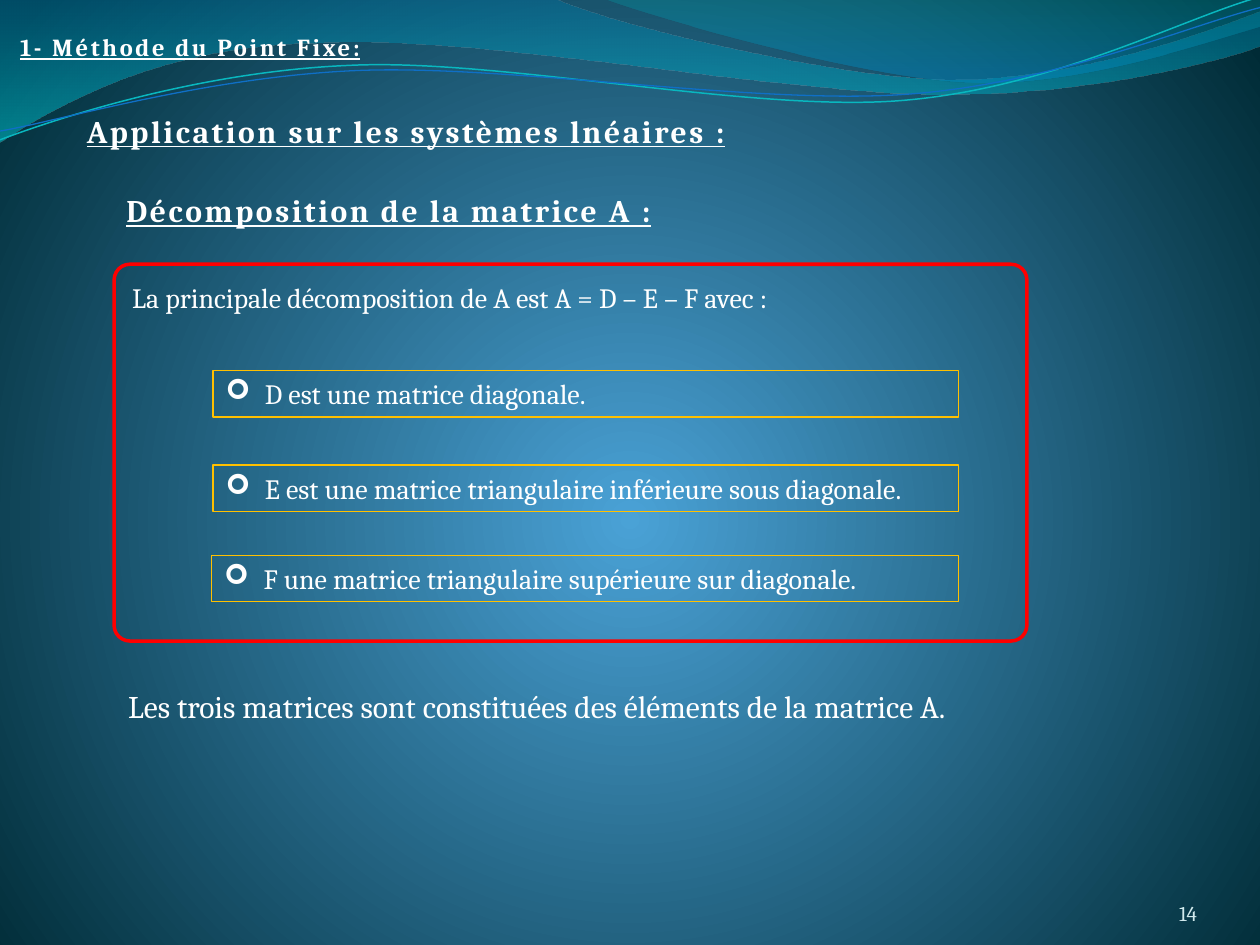
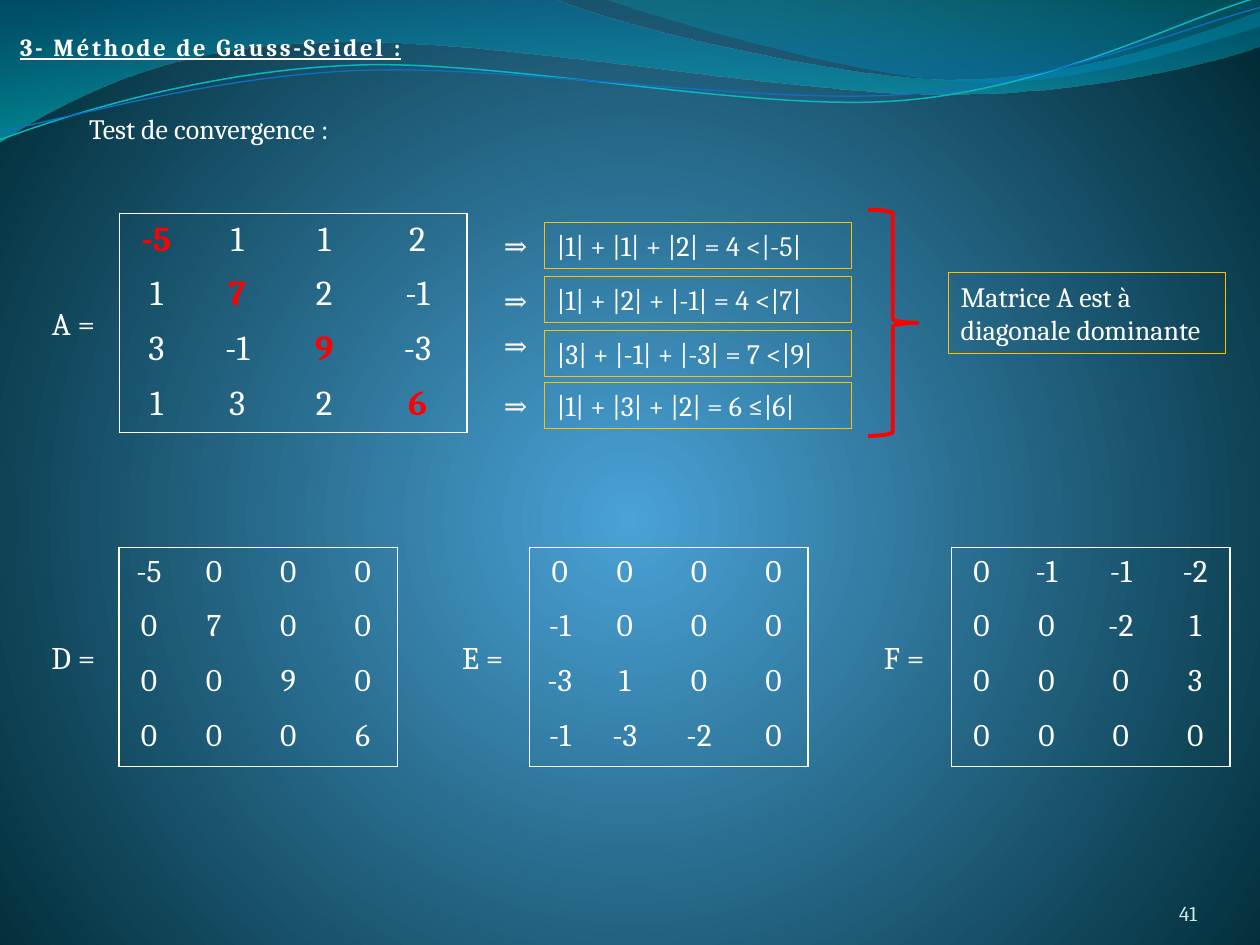
from pptx import Presentation
from pptx.dml.color import RGBColor
from pptx.enum.shapes import MSO_SHAPE as Shape
from pptx.enum.text import MSO_ANCHOR as Anchor, MSO_AUTO_SIZE as AutoSize, PP_ALIGN as Align
from pptx.oxml import parse_xml
from pptx.oxml.ns import nsdecls
from pptx.util import Pt

WHITE = RGBColor(0xFF, 0xFF, 0xFF)
RED = RGBColor(0xFF, 0x00, 0x00)
AMBER = RGBColor(0xFF, 0xC0, 0x00)
PALE = RGBColor(0xD1, 0xEA, 0xED)
TEAL = RGBColor(0x09, 0xB7, 0xBF)
BLUE = RGBColor(0x0F, 0x6F, 0xC6)
SKY, NIGHT = RGBColor(0x4A, 0xA2, 0xD6), RGBColor(0x00, 0x2B, 0x36)
DEEP, CYAN = RGBColor(0x00, 0x74, 0xA0), RGBColor(0x00, 0xC4, 0xCD)
AZURE, LAGOON = RGBColor(0x00, 0x8A, 0xBF), RGBColor(0x00, 0xA0, 0xA8)
FONT = "Cambria"
NO_GRID_STYLE = "{2D5ABB26-0587-4C30-8999-92F81FD0307C}"

GLOW = ([(0, SKY, 100), (100, NIGHT, 100)],
        '<a:path path="circle"><a:fillToRect l="50000" t="55000" r="50000" b="45000"/></a:path>')
BANDS = [
    ([(0, 0), (317, -0.7), (342.7, 12.2, 478.1, 45.4, 545.8, 45.4),
      (614.2, 45.4, 689.8, 18.7, 720, 6.5), (720.7, 25.9),
      (707.8, 31.7, 626.4, 54.7, 537.1, 54), (447.8, 54, 275, 20.2, 185, 24.5),
      (92.9, 25.2, 33.1, 59.8, -0.7, 81.4), (0, 0)],
     [(0, DEEP, 45), (100, CYAN, 55)], '<a:lin ang="5400000" scaled="0"/>'),
    ([(344.9, -0.7), (366.5, 7.9, 491, 44.6, 553.7, 46.8),
      (616.3, 49.7, 691.9, 23, 720, 15.1), (720, 0), (344.9, -0.7)],
     [(20, AZURE, 45), (100, LAGOON, 30)], '<a:lin ang="16200000" scaled="0"/>'),
]
STRANDS = [
    ([(0, 79.9), (34.6, 67, 113.8, 41, 199.4, 37.4), (284.4, 33.1, 427, 64.1, 513.4, 57.6),
      (599.8, 51.1, 675.4, 10.8, 718.6, -1.4)], TEAL, 0.85),
    ([(0, 74.9), (33.8, 69.1, 118.1, 43.9, 203.8, 40.3), (290.2, 36.7, 429.8, 59.8, 516.2, 54),
      (601.9, 48.2, 677.5, 15.1, 720, 4.3)], BLUE, 0.75),
]

DECOMPOSITION = {
    "title": "1- Méthode du Point Fixe:",
    "page": "14",
    "headings": [("Décomposition de la matrice A :", 65.2, 105.8, 351.4),
                 ("Application sur les systèmes lnéaires :", 42.5, 60.5, 425.5)],
    "intro": "La principale décomposition de A est A = D – E – F avec :",
    "factors": [("D est une matrice diagonale.", 121.8, 211.7),
                ("E est une matrice triangulaire inférieure sous diagonale.", 121.8, 265.8),
                ("F une matrice triangulaire supérieure sur diagonale.", 121, 317.3)],
    "conclusion": "Les trois matrices sont constituées des éléments de la matrice A.",
}
A = [[-5, 1, 1, 2], [1, 7, 2, -1], [3, -1, 9, -3], [1, 3, 2, 6]]
CONVERGENCE = {
    "title": "3- Méthode de Gauss-Seidel :",
    "page": "41",
    "test": "Test de convergence :",
    "conditions": [("|1| + |1| + |2| = 4 <|-5|", 127, 127),
                   ("|1| + |2| + |-1| = 4 <|7|", 157.9, 158.4),
                   ("|3| + |-1| + |-3| = 7 <|9|", 188.8, 184.3),
                   ("|1| + |3| + |2| = 6 ≤|6|", 218.5, 218.5)],
    "verdict": "Matrice A est à diagonale dominante",
    "parts": [("D", 67.9, lambda row, col: (row == col) * A[row][col]),
              ("E", 302.6, lambda row, col: -(row > col) * A[row][col]),
              ("F", 543.6, lambda row, col: -(row < col) * A[row][col])],
}
LINE_HEIGHT = {12: 28.8, 14: 24, 16: 26.6, 18: 28.8}
A_COLUMNS = [42.5, 49.7, 49.7, 56.9]
PART_COLUMNS = [34.6, 39.6, 45.4, 39.6]
ROW_HEIGHT = 31.32


def set_gradient(fill, owner, stops, direction):
    """Give a fill colour stops with opacity and a direction."""
    fill.gradient()
    old = owner.xpath(".//a:gradFill")[0]
    marks = "".join(
        f'<a:gs pos="{pos * 1000}"><a:srgbClr val="{color}"><a:alpha val="{opacity * 1000}"/></a:srgbClr></a:gs>'
        for pos, color, opacity in stops)
    old.getparent().replace(old, parse_xml(
        f'<a:gradFill {nsdecls("a")} rotWithShape="1"><a:gsLst>{marks}</a:gsLst>{direction}</a:gradFill>'))


def add_wave(slide, segments, close):
    """Draw one outline of straight and cubic segments."""
    pairs = [[(Pt(x), Pt(y)) for x, y in zip(segment[::2], segment[1::2])] for segment in segments]
    points = [point for group in pairs for point in group]
    builder = slide.shapes.build_freeform(*points[0])
    builder.add_line_segments(points[1:], close=close)
    wave = builder.convert_to_shape()
    wave.shadow.inherit = False
    outline = wave._element.xpath(".//a:path")[0]
    for step in outline.xpath("a:lnTo | a:close"):
        outline.remove(step)
    for group in pairs[1:]:
        tag = "lnTo" if len(group) == 1 else "cubicBezTo"
        marks = "".join(f'<a:pt x="{x - wave.left}" y="{y - wave.top}"/>' for x, y in group)
        outline.append(parse_xml(f'<a:{tag} {nsdecls("a")}>{marks}</a:{tag}>'))
    if close:
        outline.append(parse_xml(f'<a:close {nsdecls("a")}/>'))
    return wave


def decorate_master(master, slide):
    """Set the background and move the waves to the master."""
    set_gradient(master.background.fill, master.element, *GLOW)
    waves = []
    for segments, stops, direction in BANDS:
        band = add_wave(slide, segments, True)
        band.line.fill.background()
        set_gradient(band.fill, band._element, stops, direction)
        waves.append(band)
    for segments, color, weight in STRANDS:
        strand = add_wave(slide, segments, False)
        strand.fill.background()
        strand.line.color.rgb = color
        strand.line.width = Pt(weight)
        waves.append(strand)
    for index, wave in enumerate(waves):
        master.shapes._spTree.insert(2 + index, wave._element)


def write(frame, text, size, color=WHITE, heading=False, bullet=False, align=Align.LEFT, bold=False):
    """Put one formatted paragraph in a text frame."""
    frame.text = text
    paragraph = frame.paragraphs[0]
    paragraph.alignment = align
    properties = paragraph._p.get_or_add_pPr()
    if bullet:
        properties.set("marL", str(Pt(22.5)))
        properties.set("indent", str(-Pt(22.5)))
        properties.append(parse_xml(f'<a:buFont {nsdecls("a")} typeface="Wingdings"/>'))
        properties.append(parse_xml(f'<a:buChar {nsdecls("a")} char="➢"/>'))
    font = paragraph.font
    font.name, font.size, font.color.rgb = FONT, Pt(size), color
    font.bold = heading or bold
    if heading:
        font.underline = True
        properties.xpath("a:defRPr")[0].set("spc", "150")


def add_text(slide, text, left, top, width, size=16, **style):
    """Add a one-line text box."""
    box = slide.shapes.add_textbox(Pt(left), Pt(top), Pt(width), Pt(LINE_HEIGHT[size]))
    box.text_frame.word_wrap = True
    write(box.text_frame, text, size, **style)
    return box.text_frame


def add_outline(slide, kind, left, top, width, height, color, weight):
    """Add an unfilled preset shape."""
    outline = slide.shapes.add_shape(kind, Pt(left), Pt(top), Pt(width), Pt(height))
    outline.shadow.inherit = False
    outline.fill.background()
    outline.line.color.rgb = color
    outline.line.width = Pt(weight)
    return outline


def add_boxed(slide, text, left, top, width, height=LINE_HEIGHT[16], **style):
    """Add text in a thin amber frame."""
    frame = add_outline(slide, Shape.RECTANGLE, left, top, width, height, AMBER, 0).text_frame
    frame.word_wrap = True
    frame.vertical_anchor = Anchor.TOP
    write(frame, text, 16, **style)


def add_matrix(slide, name, values, left, top, columns, size, highlight=False):
    """Add a labelled matrix with an outer border."""
    add_text(slide, f"{name} =", left - 45.6, top + 48.2, 45.4, 18)
    last = len(values) - 1
    table = slide.shapes.add_table(len(values), len(columns), Pt(left), Pt(top), Pt(sum(columns)),
                                   Pt(ROW_HEIGHT * len(values))).table
    table.first_row = table.horz_banding = False
    table._tbl.xpath("a:tblPr/a:tableStyleId")[0].text = NO_GRID_STYLE
    for column, width in zip(table.columns, columns):
        column.width = Pt(width)
    for row, line in enumerate(values):
        table.rows[row].height = Pt(ROW_HEIGHT)
        for col, value in enumerate(line):
            cell = table.cell(row, col)
            marked = highlight and row == col
            write(cell.text_frame, str(value), size, RED if marked else WHITE, align=Align.CENTER, bold=marked)
            borders = cell._tc.get_or_add_tcPr()
            for side, outer in (("L", col == 0), ("R", col == last), ("T", row == 0), ("B", row == last)):
                if outer:
                    borders.append(parse_xml(
                        f'<a:ln{side} {nsdecls("a")} w="{Pt(0.96)}"><a:solidFill>'
                        f'<a:srgbClr val="{WHITE}"/></a:solidFill></a:ln{side}>'))
            cell.fill.background()


def add_page(prs, content):
    """Start a slide with its title and page number."""
    slide = prs.slides.add_slide(prs.slide_layouts[5])
    title = slide.shapes.title
    title.left, title.top, title.width, title.height = Pt(4.3), Pt(14.7), Pt(265), Pt(LINE_HEIGHT[14])
    frame = title.text_frame
    frame.auto_size = AutoSize.NONE
    frame.word_wrap = True
    frame.vertical_anchor = Anchor.TOP
    write(frame, content["title"], 14, heading=True)
    number = add_text(slide, content["page"], 624.2, 500.4, 59.8, 12, color=PALE, align=Align.RIGHT)
    number.margin_left = number.margin_right = number.margin_top = number.margin_bottom = 0
    number.vertical_anchor = Anchor.BOTTOM
    return slide


def build_decomposition(prs):
    """Build the slide on splitting the matrix."""
    slide = add_page(prs, DECOMPOSITION)
    frame = add_outline(slide, Shape.ROUNDED_RECTANGLE, 65.2, 151, 521.6, 215.3, RED, 2)
    frame.adjustments[0] = 0.042
    for text, left, top, width in DECOMPOSITION["headings"]:
        add_text(slide, text, left, top, width, 18, heading=True)
    add_text(slide, DECOMPOSITION["intro"], 68.4, 157, 416)
    for text, left, top in DECOMPOSITION["factors"]:
        add_boxed(slide, text, left, top, 547.9 - left, bullet=True)
    add_text(slide, DECOMPOSITION["conclusion"], 66.2, 388.8, 544.3, 18)
    return slide


def build_convergence(prs):
    """Build the slide on the convergence test."""
    slide = add_page(prs, CONVERGENCE)
    add_text(slide, CONVERGENCE["test"], 43.9, 60.5, 191.5)
    add_matrix(slide, "A", A, 68.2, 121.9, A_COLUMNS, 20, highlight=True)
    for text, top, arrow_top in CONVERGENCE["conditions"]:
        add_boxed(slide, text, 311, top, 175.7)
        add_text(slide, "⇒", 280.8, arrow_top, 30.2).word_wrap = False
    add_outline(slide, Shape.RIGHT_BRACE, 496.1, 119.9, 28.1, 129.2, RED, 2.25)
    add_boxed(slide, CONVERGENCE["verdict"], 541.9, 155.9, 158.4, 46)
    for name, left, entry in CONVERGENCE["parts"]:
        values = [[entry(row, col) for col in range(4)] for row in range(4)]
        add_matrix(slide, name, values, left, 312.8, PART_COLUMNS, 18)


def main():
    """Build and save the presentation."""
    prs = Presentation()
    prs.slide_width, prs.slide_height = Pt(720), Pt(540)
    decorate_master(prs.slide_master, build_decomposition(prs))
    build_convergence(prs)
    prs.save("out.pptx")


if __name__ == "__main__":
    main()
